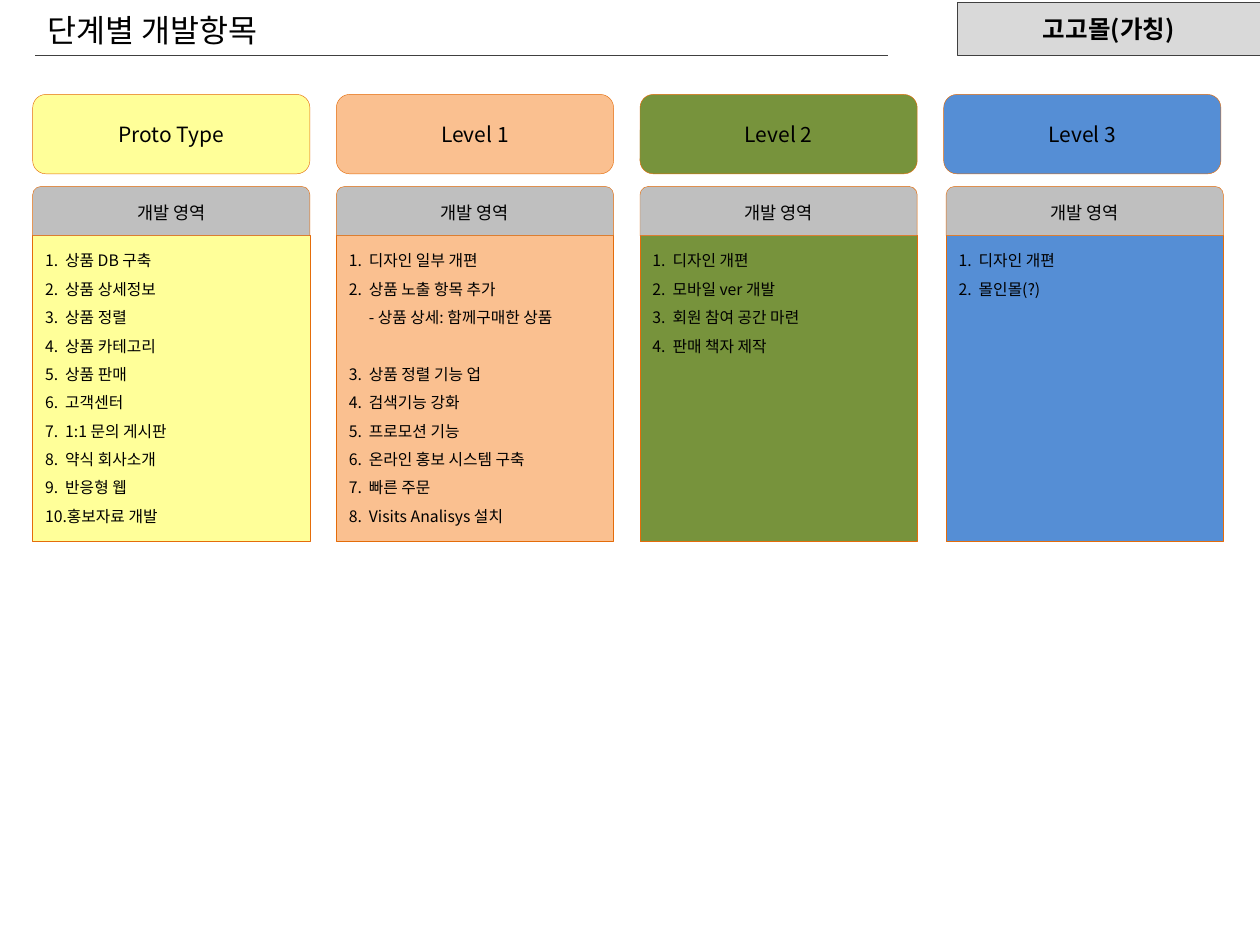
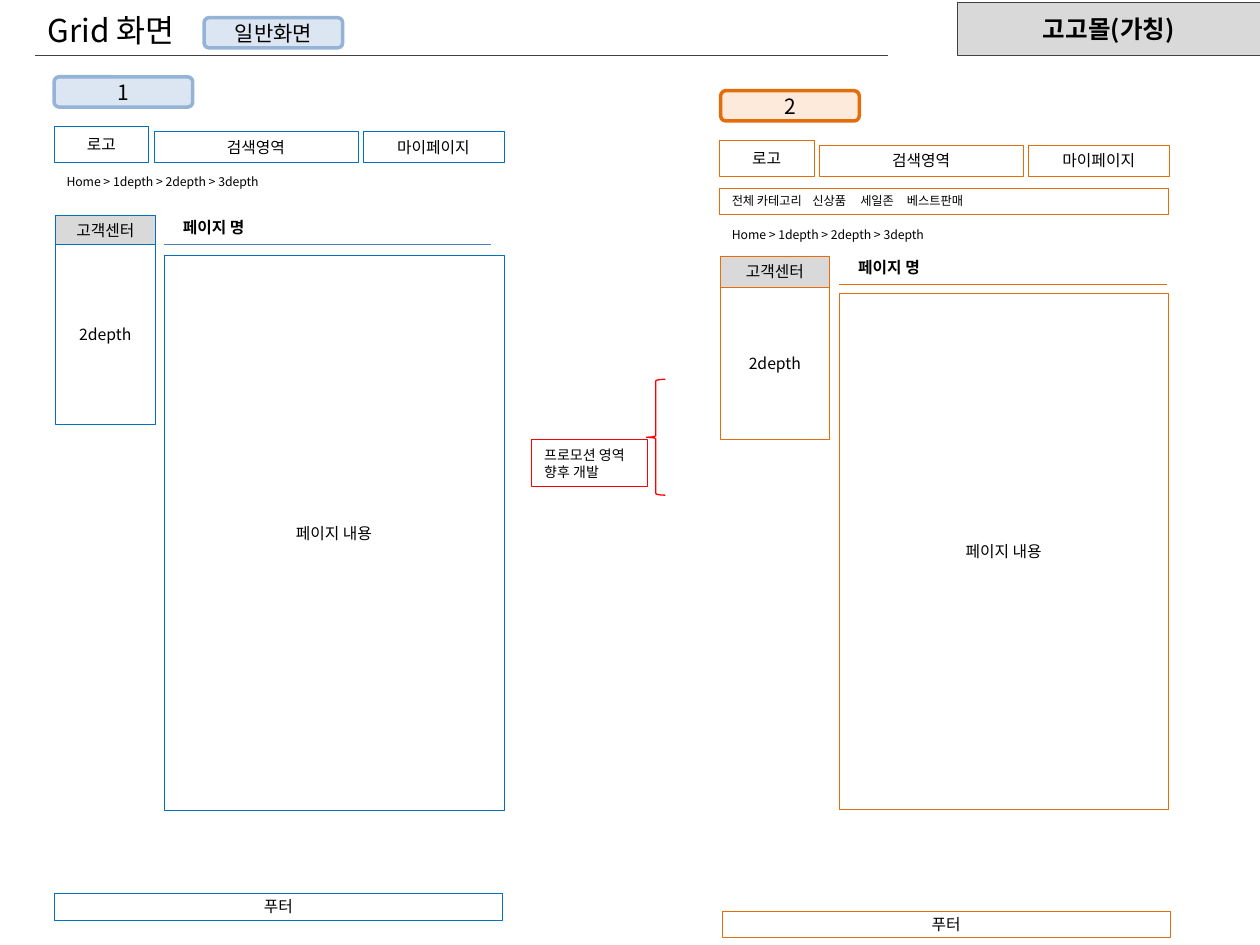
from pptx import Presentation
from pptx.dml.color import RGBColor as RGB
from pptx.enum.shapes import MSO_CONNECTOR as Link, MSO_SHAPE as Kind
from pptx.enum.text import MSO_ANCHOR as Anchor, PP_ALIGN as Align
from pptx.oxml.ns import qn
from pptx.util import Inches, Pt
from lxml.etree import SubElement as Sub

FONT = "Noto Sans CJK KR"
BLACK = RGB(0x00, 0x00, 0x00)
DARK = RGB(0x40, 0x40, 0x40)
GRAY = RGB(0xBF, 0xBF, 0xBF)
PALE = RGB(0xD9, 0xD9, 0xD9)
ORANGE = RGB(0xE4, 0x6C, 0x0A)
CREAM = RGB(0xFD, 0xEA, 0xDA)
YELLOW = RGB(0xFF, 0xFF, 0x99)
PEACH = RGB(0xFA, 0xC0, 0x90)
GREEN = RGB(0x77, 0x93, 0x3C)
SKY = RGB(0x55, 0x8E, 0xD5)
BLUE = RGB(0x00, 0x70, 0xC0)
STEEL = RGB(0x4B, 0x7E, 0xBC)
ICE = RGB(0xDC, 0xE6, 0xF2)
MIST = RGB(0x95, 0xB3, 0xD7)
RED = RGB(0xFF, 0x00, 0x00)

LEVELS = [
    ("Proto Type", YELLOW, 0, [
        "상품 DB 구축", "상품 상세정보", "상품 정렬", "상품 카테고리", "상품 판매",
        "고객센터", "1:1 문의 게시판", "약식 회사소개", "반응형 웹", "홍보자료 개발"]),
    ("Level 1", PEACH, 0, [
        "디자인 일부 개편", "상품 노출 항목 추가\v- 상품 상세: 함께구매한 상품",
        "상품 정렬 기능 업", "검색기능 강화", "프로모션 기능",
        "온라인 홍보 시스템 구축", "빠른 주문", "Visits Analisys 설치"]),
    ("Level 2", GREEN, 0, [
        "디자인 개편", "모바일 ver 개발", "회원 참여 공간 마련", "판매 책자 제작"]),
    ("Level 3", SKY, 0.02, ["디자인 개편", "몰인몰(?)"]),
]


class Deck:
    """Holds the style and the current slide."""

    def __init__(self):
        self.prs = Presentation()
        self.prs.slide_width, self.prs.slide_height = Inches(10), Inches(7.5)

    def page(self, title, width):
        self.slide = self.prs.slides.add_slide(self.prs.slide_layouts[6])
        self.box(7.6, 0.02, 2.4, 0.42, "고고몰(가칭)", DARK, PALE, size=14, bold=True)
        self.rule(0.28, 0.44, 6.77, DARK)
        self.text(0.28, 0.04, width, 0.4, title, size=18)

    def label(self, shape, lines, size=9, bold=False, align=Align.LEFT,
              anchor=Anchor.MIDDLE, pitch=None):
        frame = shape.text_frame
        frame.word_wrap, frame.vertical_anchor = True, anchor
        lines = [lines] if isinstance(lines, str) else lines
        look = {"name": FONT, "size": Pt(size), "bold": bold}
        for i, line in enumerate(lines):
            para = frame.add_paragraph() if i else frame.paragraphs[0]
            para.text, para.alignment = line, align
            if pitch:
                para.line_spacing = Pt(pitch)
            for run in para.runs:
                for key, value in look.items():
                    setattr(run.font, key, value)
                run.font.color.rgb = BLACK
                Sub(run.font._element, qn("a:ea"), typeface=FONT)

    def box(self, x, y, w, h, lines, line, fill=None, kind=Kind.RECTANGLE,
            weight=0.25, **style):
        shape = self.slide.shapes.add_shape(kind, *map(Inches, (x, y, w, h)))
        shape.shadow.inherit = False
        if fill is None:
            shape.fill.background()
        else:
            shape.fill.solid()
            shape.fill.fore_color.rgb = fill
        shape.line.color.rgb, shape.line.width = line, Pt(weight)
        if lines:
            self.label(shape, lines, **{"align": Align.CENTER, **style})
        return shape

    def text(self, x, y, w, h, lines, **style):
        shape = self.slide.shapes.add_textbox(*map(Inches, (x, y, w, h)))
        self.label(shape, lines, **style)

    def rule(self, x, y, w, color):
        line = self.slide.shapes.add_connector(
            Link.STRAIGHT, *map(Inches, (x, y, x + w, y)))
        line.line.color.rgb, line.line.width = color, Pt(0.75)
        Sub(line._element.spPr, qn("a:effectLst"))

    def chip(self, x, y, name, line, fill):
        self.box(x, y, 1.1, 0.24, name, line, fill, Kind.ROUNDED_RECTANGLE, 2, size=12)

    def steps(self, x, y, w, h, items, fill):
        shape = self.box(x, y, w, h, items, ORANGE, fill, align=Align.LEFT,
                         anchor=Anchor.TOP, pitch=16.2)
        for para in shape.text_frame.paragraphs:
            if "\v" in para.text:
                para.space_after = Pt(16.2)
            props = para._p.get_or_add_pPr()
            props.set("marL", str(Inches(0.16)))
            props.set("indent", str(-Inches(0.16)))
            Sub(props, qn("a:buFont"), typeface="+mj-lt")
            Sub(props, qn("a:buAutoNum"), type="arabicPeriod")

    def menu(self, x, y, items, stops, line):
        shape = self.box(x, y, 3.56, 0.21, "\t".join(items), line,
                         size=7, align=Align.LEFT)
        props = shape.text_frame.paragraphs[0]._p.get_or_add_pPr()
        tabs = Sub(props, qn("a:tabLst"))
        for stop in stops:
            Sub(tabs, qn("a:tab"), pos=str(Inches(stop)), algn="l")

    def wire(self, x, top, crumb, side, body, foot, line, rule):
        """Draws one page grid: top row, crumbs, side menu, content, footer."""
        for dx, dy, w, h, name in [(0, 0, 0.75, 0.29, "로고"),
                                   (0.79, 0.04, 1.62, 0.25, "검색영역"),
                                   (2.45, 0.04, 1.12, 0.25, "마이페이지")]:
            self.box(x + dx, top + dy, w, h, name, line)
        self.text(x, crumb, 2.76, 0.13, "Home > 1depth > 2depth > 3depth", size=7)

        # Side menu
        y, w, head, depth = side
        self.box(x + 0.01, y + head, w, depth, "2depth", line)
        self.box(x + 0.01, y, w, head, "고객센터", line, PALE)

        # Page name and content
        left = body[0]
        self.text(left, y - 0.02, 0.79, 0.23, "페이지 명", bold=True, align=Align.CENTER)
        self.rule(left, y + 0.23, 2.6, rule)
        self.box(*body, "페이지 내용", line)
        self.box(*foot, 3.56, 0.21, "푸터", line)


def main():
    deck = Deck()

    # Items by stage
    deck.page("단계별 개발항목", 2.06)
    for i, (name, fill, shift, items) in enumerate(LEVELS):
        x = 0.26 + 2.41 * i
        deck.box(x, 0.75, 2.2, 0.63, name, ORANGE, fill, Kind.ROUNDED_RECTANGLE, size=12)
        deck.steps(x + shift, 1.87, 2.2, 2.43, items, fill)
        deck.box(x + shift, 1.48, 2.2, 0.39, "개발 영역", ORANGE, GRAY,
                 Kind.ROUND_2_SAME_RECTANGLE, size=10)

    # Page grids
    deck.page("Grid 화면", 1.3)
    deck.chip(1.62, 0.14, "일반화면", MIST, ICE)
    deck.chip(0.43, 0.61, "1", MIST, ICE)
    deck.wire(0.43, 1, 1.38, (1.71, 0.79, 0.23, 1.43), (1.3, 2.03, 2.7, 4.4),
              (0.43, 7.09), BLUE, STEEL)
    deck.chip(5.72, 0.72, "2", ORANGE, CREAM)
    deck.wire(5.71, 1.11, 1.8, (2.03, 0.86, 0.25, 1.21), (6.66, 2.33, 2.61, 4.09),
              (5.73, 7.23), ORANGE, ORANGE)
    deck.menu(5.71, 1.49, ["전체 카테고리", "신상품", "세일존", "베스트판매"],
              [0.64, 1.02, 1.39], ORANGE)

    # Promotion note
    deck.box(4.22, 3.49, 0.92, 0.37, ["프로모션 영역", "향후 개발"], RED, weight=0.75,
             size=8, align=Align.LEFT, anchor=Anchor.TOP, pitch=9.7)
    brace = deck.box(5.13, 3.01, 0.15, 0.92, None, RED, kind=Kind.RIGHT_BRACE, weight=0.75)
    brace.rotation = 180

    deck.prs.save("out.pptx")


if __name__ == "__main__":
    main()
